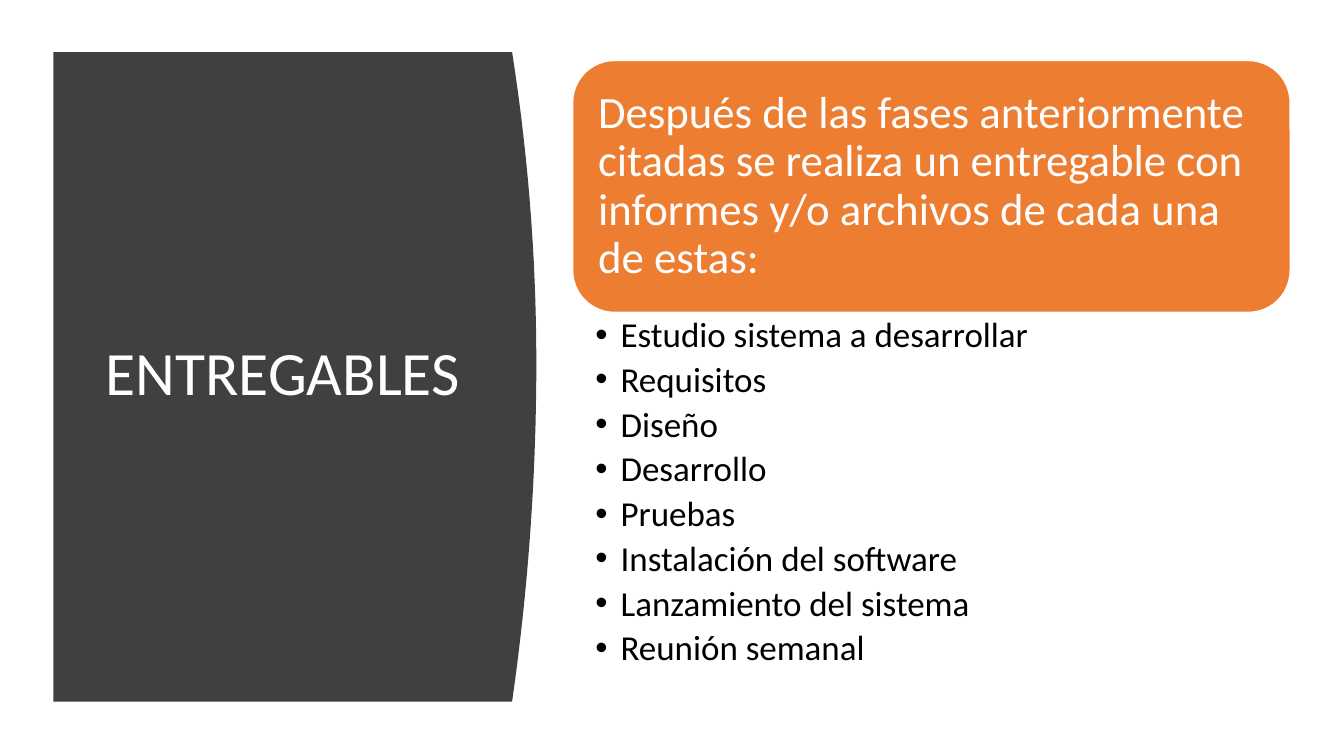
"""Build the ENTREGABLES slide: a curved title panel, a highlighted statement and a list."""
from lxml.etree import SubElement
from pptx import Presentation
from pptx.dml.color import RGBColor
from pptx.enum.shapes import MSO_SHAPE
from pptx.enum.text import MSO_ANCHOR, MSO_AUTO_SIZE, PP_ALIGN
from pptx.oxml.ns import qn
from pptx.util import Pt

TITLE = "ENTREGABLES"
STATEMENT = ("Después de las fases anteriormente citadas se realiza un entregable "
             "con informes y/o archivos de cada una de estas:")
DELIVERABLES = [
    "Estudio sistema a desarrollar",
    "Requisitos",
    "Diseño",
    "Desarrollo",
    "Pruebas",
    "Instalación del software",
    "Lanzamiento del sistema",
    "Reunión semanal",
]

FONT = "Calibri"
WHITE = RGBColor(0xFF, 0xFF, 0xFF)
BLACK = RGBColor(0, 0, 0)
CHARCOAL = RGBColor(0x40, 0x40, 0x40)
ORANGE = RGBColor(0xED, 0x7D, 0x31)

PANEL_LEFT, PANEL_TOP, PANEL_EDGE, PANEL_BOTTOM = 38.2, 37.2, 365.8, 501.1
BULGE, BULGE_MIDDLE, CURVE_STEPS = 17.3, 259.2, 40
COLUMN_LEFT, COLUMN_WIDTH = 409, 512.6
STATEMENT_TOP, STATEMENT_HEIGHT = 43.2, 180
LIST_HEIGHT = 271.4
BULLET_INDENT = 18


def place(shape, left, top, width, height):
    """Set the position and size of a shape in points."""
    shape.left, shape.top = Pt(left), Pt(top)
    shape.width, shape.height = Pt(width), Pt(height)


def write(shape, lines, size, color, anchor=MSO_ANCHOR.MIDDLE,
          insets=(7.2, 3.6, 7.2, 3.6), gap=0, bullet=None):
    """Fill a shape with left-aligned paragraphs, bulleted when a bullet is given."""
    frame = shape.text_frame
    frame.word_wrap = True
    frame.auto_size = MSO_AUTO_SIZE.NONE
    frame.vertical_anchor = anchor
    frame.margin_left, frame.margin_top, frame.margin_right, frame.margin_bottom = map(Pt, insets)
    for index, line in enumerate(lines):
        para = frame.add_paragraph() if index else frame.paragraphs[0]
        para.alignment = PP_ALIGN.LEFT
        para.line_spacing = 0.9
        para.space_before, para.space_after = Pt(0), Pt(gap)
        span = para.add_run()
        span.text = line
        span.font.name, span.font.size = FONT, Pt(size)
        span.font.color.rgb = color
        if bullet:
            properties = para._p.get_or_add_pPr()
            properties.set("marL", str(Pt(BULLET_INDENT)))
            properties.set("indent", str(-Pt(BULLET_INDENT)))
            SubElement(properties, qn("a:buChar"), char=bullet)


def curve_point(step):
    """Return the point of the panel's bulging edge at a step from top to bottom."""
    y = PANEL_TOP + (PANEL_BOTTOM - PANEL_TOP) * step / CURVE_STEPS
    reach = BULGE_MIDDLE - PANEL_TOP if y < BULGE_MIDDLE else PANEL_BOTTOM - BULGE_MIDDLE
    x = PANEL_EDGE + BULGE * (1 - ((y - BULGE_MIDDLE) / reach) ** 2)
    return Pt(x), Pt(y)


def add_panel(page):
    """Draw the curved panel behind everything else."""
    builder = page.shapes.build_freeform(Pt(PANEL_LEFT), Pt(PANEL_TOP))
    edge = [curve_point(step) for step in range(CURVE_STEPS + 1)]
    builder.add_line_segments(edge + [(Pt(PANEL_LEFT), Pt(PANEL_BOTTOM))], close=True)
    panel = builder.convert_to_shape()
    panel.shadow.inherit = False
    panel.fill.solid()
    panel.fill.fore_color.rgb = CHARCOAL
    panel.line.fill.background()
    panel.element.getparent().insert(2, panel.element)


def add_statement(page):
    """Add the rounded box with the introductory statement."""
    box = page.shapes.add_shape(MSO_SHAPE.ROUNDED_RECTANGLE, Pt(COLUMN_LEFT), Pt(STATEMENT_TOP),
                                Pt(COLUMN_WIDTH), Pt(STATEMENT_HEIGHT))
    box.shadow.inherit = False
    box.fill.solid()
    box.fill.fore_color.rgb = ORANGE
    box.line.color.rgb = WHITE
    box.line.width = Pt(1)
    write(box, [STATEMENT], 32, WHITE, insets=(9.4, 9.4, 9.4, 9.4))


def main():
    """Build and save the deck."""
    deck = Presentation()
    deck.slide_width, deck.slide_height = Pt(960), Pt(540)
    page = deck.slides.add_slide(deck.slide_layouts[1])
    add_panel(page)

    title = page.shapes.title
    place(title, 68.2, 79.9, 269.3, 377.3)
    write(title, [TITLE], 44, WHITE)

    add_statement(page)

    body = page.placeholders[1]
    place(body, COLUMN_LEFT, STATEMENT_TOP + STATEMENT_HEIGHT, COLUMN_WIDTH, LIST_HEIGHT)
    write(body, DELIVERABLES, 25, BLACK, anchor=MSO_ANCHOR.TOP,
          insets=(16.3, 3.4, 18, 3.4), gap=5, bullet="•")

    deck.save("out.pptx")


if __name__ == "__main__":
    main()
